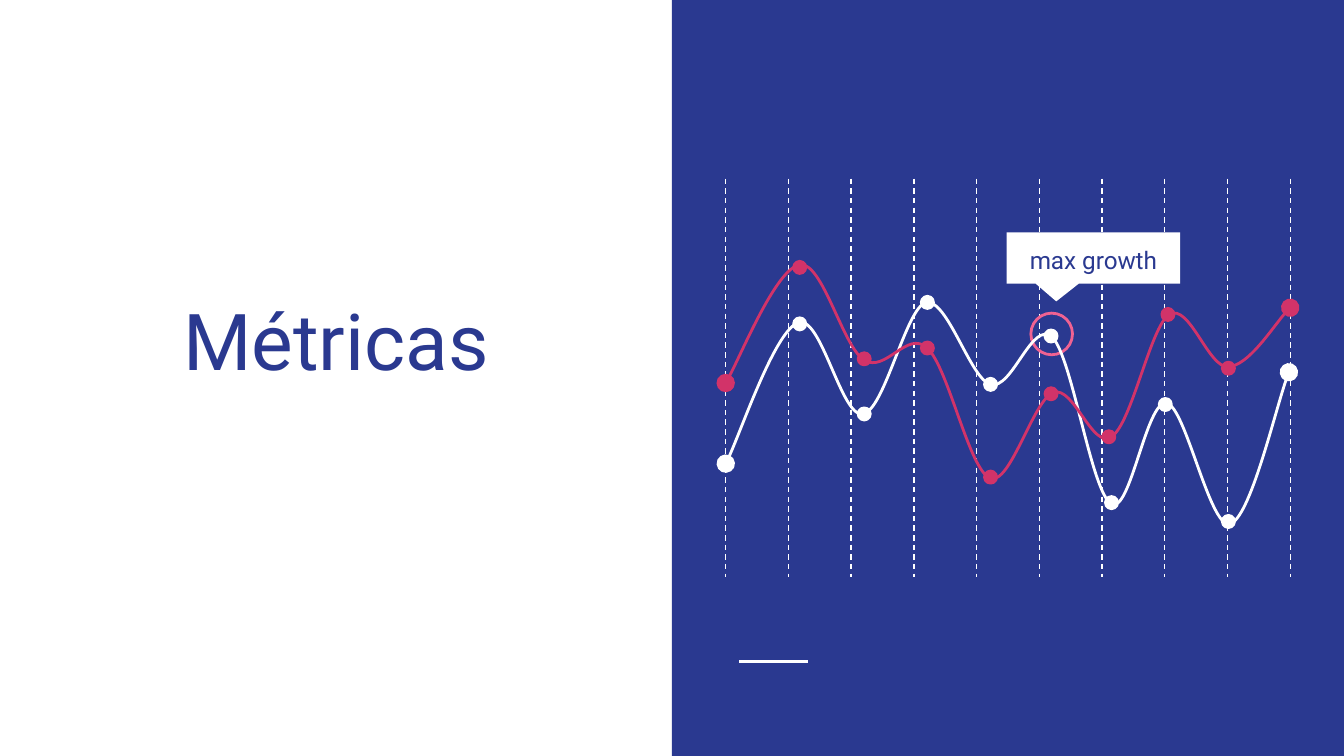
from dataclasses import dataclass

from lxml.etree import SubElement
from pptx import Presentation
from pptx.dml.color import RGBColor
from pptx.enum.dml import MSO_LINE
from pptx.enum.shapes import MSO_CONNECTOR, MSO_SHAPE as Preset
from pptx.enum.text import MSO_ANCHOR as Anchor, PP_ALIGN as Align
from pptx.oxml.ns import qn
from pptx.util import Inches, Pt

WIDTH = 10
HEIGHT = WIDTH * 9 / 16
HALF = WIDTH / 2
NAVY, WHITE, RED, PINK = "2A3990", "FFFFFF", "D23369", "F06292"
GRID_LEFT, GRID_RIGHT, GRID_TOP, GRID_BOTTOM = 5.4, 9.6, 1.33, 4.29
GRID_COLUMNS = 9
DOT = 0.09
STROKE = 1.5

Point = tuple[float, float]


@dataclass(frozen=True)
class Series:
    """A smooth line: its start, its Bezier points in threes, and its dot centres."""
    color: str
    start: Point
    bends: list[Point]
    dots: list[Point]


WHITE_SERIES = Series(
    WHITE, (5.4, 3.45),
    [(5.49, 3.28), (5.77, 2.46), (5.94, 2.4), (6.11, 2.34), (6.26, 3.11), (6.42, 3.08),
     (6.58, 3.06), (6.74, 2.29), (6.89, 2.25), (7.05, 2.22), (7.22, 2.82), (7.37, 2.86),
     (7.53, 2.91), (7.68, 2.37), (7.83, 2.51), (7.98, 2.66), (8.12, 3.67), (8.27, 3.75),
     (8.41, 3.83), (8.53, 2.97), (8.68, 3), (8.82, 3.02), (9, 3.93), (9.15, 3.9),
     (9.3, 3.86), (9.51, 2.96), (9.59, 2.77)],
    [(5.95, 2.41), (6.43, 3.08), (6.9, 2.25), (7.37, 2.86),
     (7.82, 2.5), (8.27, 3.74), (8.67, 3.01), (9.14, 3.88)])
RED_SERIES = Series(
    RED, (5.4, 2.85),
    [(5.49, 2.7), (5.78, 2), (5.95, 1.97), (6.12, 1.94), (6.27, 2.58), (6.43, 2.68),
     (6.59, 2.78), (6.75, 2.45), (6.9, 2.59), (7.06, 2.74), (7.21, 3.5), (7.37, 3.56),
     (7.52, 3.61), (7.69, 2.97), (7.84, 2.92), (7.99, 2.87), (8.13, 3.35), (8.27, 3.25),
     (8.42, 3.16), (8.56, 2.43), (8.7, 2.34), (8.85, 2.25), (8.99, 2.74), (9.14, 2.73),
     (9.29, 2.72), (9.52, 2.36), (9.6, 2.29)],
    [(5.95, 1.99), (6.43, 2.67), (6.9, 2.59), (7.37, 3.55),
     (7.82, 2.93), (8.25, 3.25), (8.69, 2.34), (9.14, 2.74)])


def rgb(color: str) -> RGBColor:
    """Turn a hex string into a colour."""
    return RGBColor.from_string(color)


def paint(shape, fill: str | None, line: str | None) -> None:
    """Set fill and outline, and take the shadow away."""
    shape.shadow.inherit = False
    if fill:
        shape.fill.solid()
        shape.fill.fore_color.rgb = rgb(fill)
    else:
        shape.fill.background()
    if line:
        shape.line.color.rgb = rgb(line)
        shape.line.width = Pt(STROKE)
    else:
        shape.line.fill.background()


def add_preset(page, preset, left: float, top: float, width: float, height: float,
               fill: str | None = None, line: str | None = None):
    """Add a preset shape, measured in inches."""
    shape = page.shapes.add_shape(preset, *map(Inches, (left, top, width, height)))
    paint(shape, fill, line)
    return shape


def add_rule(page, start: Point, end: Point, width: float, dashed: bool = False) -> None:
    """Add a straight white line."""
    rule = page.shapes.add_connector(MSO_CONNECTOR.STRAIGHT, *map(Inches, start + end))
    rule.line.color.rgb = rgb(WHITE)
    rule.line.width = Pt(width)
    if dashed:
        rule.line.dash_style = MSO_LINE.DASH
    SubElement(rule._element.spPr, qn("a:effectLst"))


def add_text(page, words: str, left: float, top: float, width: float, height: float,
             size: float, anchor, spacing: float = 1) -> None:
    """Add one centred line of navy text."""
    box = page.shapes.add_textbox(*map(Inches, (left, top, width, height)))
    frame = box.text_frame
    frame.word_wrap = True
    frame.vertical_anchor = anchor
    frame.margin_left = frame.margin_right = Inches(0.1)
    frame.margin_top = frame.margin_bottom = Inches(0.1)
    para = frame.paragraphs[0]
    para.alignment = Align.CENTER
    para.line_spacing = spacing
    span = para.add_run()
    span.text = words
    span.font.name = "Roboto"
    span.font.size = Pt(size)
    span.font.color.rgb = rgb(NAVY)


def add_series(page, series: Series) -> None:
    """Draw a smooth line with round ends, then its dots."""
    builder = page.shapes.build_freeform(*map(Inches, series.start))
    builder.add_line_segments([(Inches(x), Inches(y)) for x, y in series.bends], close=False)
    curve = builder.convert_to_shape()
    paint(curve, None, series.color)

    segments = list(curve._element.iter(qn("a:lnTo")))
    outline = segments[0].getparent()
    for first in range(0, len(segments), 3):
        bezier = SubElement(outline, qn("a:cubicBezTo"))
        for segment in segments[first:first + 3]:
            bezier.append(segment[0])
            outline.remove(segment)
    for end in ("a:headEnd", "a:tailEnd"):
        SubElement(curve.line._get_or_add_ln(), qn(end), type="oval", w="lg", len="lg")

    for x, y in series.dots:
        add_preset(page, Preset.OVAL, x - DOT / 2, y - DOT / 2, DOT, DOT,
                   series.color, series.color)


def add_callout(page) -> None:
    """Draw the empty speech label above the peak."""
    callout = add_preset(page, Preset.ROUNDED_RECTANGULAR_CALLOUT,
                         7.49, 1.73, 1.29, 0.38, WHITE)
    for index, value in enumerate((-0.214, 0.85, 0)):
        callout.adjustments[index] = value


def main() -> None:
    """Build the slide and save it."""
    deck = Presentation()
    deck.slide_width, deck.slide_height = Inches(WIDTH), Inches(HEIGHT)
    page = deck.slides.add_slide(deck.slide_layouts[6])

    add_preset(page, Preset.RECTANGLE, HALF, 0, HALF, HEIGHT, NAVY)
    add_rule(page, (5.5, 4.92), (6.01, 4.92), STROKE)
    step = (GRID_RIGHT - GRID_LEFT) / GRID_COLUMNS
    for column in range(GRID_COLUMNS + 1):
        x = GRID_LEFT + column * step
        add_rule(page, (x, GRID_TOP), (x, GRID_BOTTOM), 0.75, dashed=True)

    add_preset(page, Preset.OVAL, 7.67, 2.33, 0.31, 0.31, line=PINK)
    add_text(page, "Métricas", 0.29, 1.26, 4.42, 1.71, 42, Anchor.BOTTOM)
    add_series(page, WHITE_SERIES)
    add_callout(page)
    add_series(page, RED_SERIES)
    add_text(page, "max growth", 7.49, 1.76, 1.29, 0.31, 13, Anchor.MIDDLE, 1.15)
    deck.save("out.pptx")


main()
